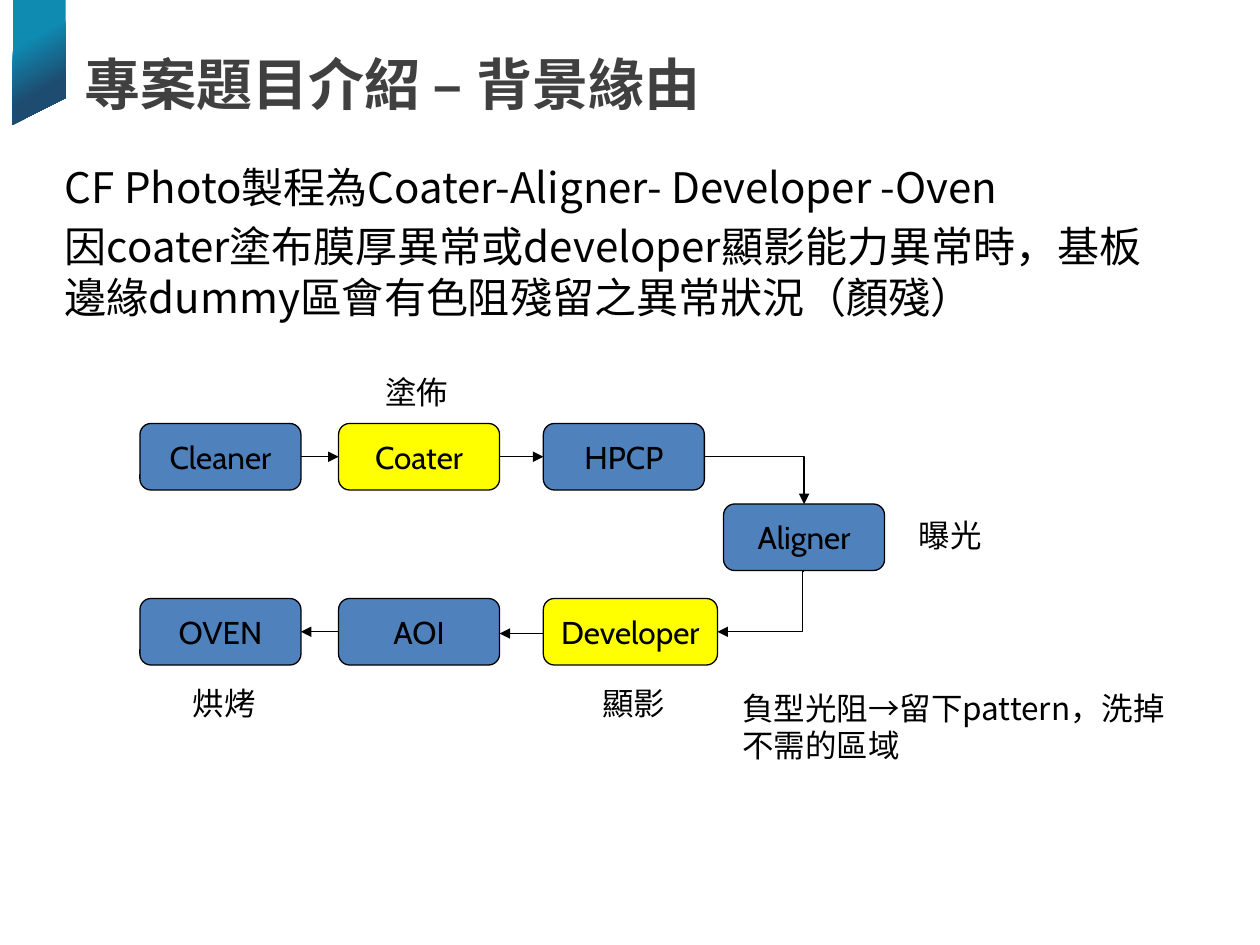
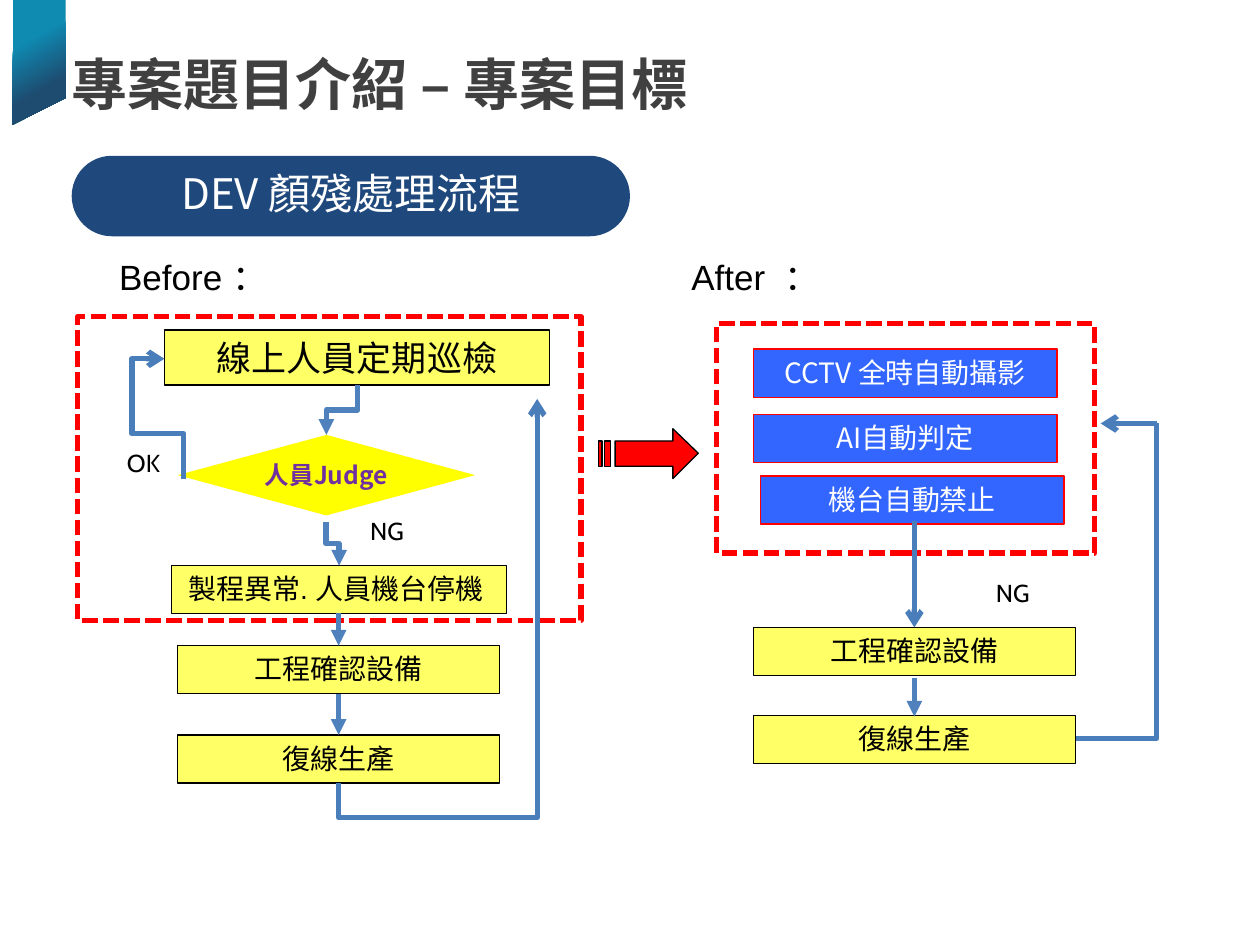
from lxml import etree
from pptx import Presentation
from pptx.dml.color import RGBColor
from pptx.enum import dml, shapes, text
from pptx.oxml import ns
from pptx.util import Pt

ink = RGBColor.from_string
BLACK, WHITE, RED = "000000", "FFFFFF", "FF0000"
BLUE, YELLOW, LEMON, ROYAL = "4F81BD", "FFFF00", "FFFF66", "3366FF"
STEEL, NAVY, GREY = "4A7EBB", "1F497D", "404040"
CABIN, NOTO, ARIAL = "Cabin", "Noto Sans CJK SC", "Arial"
KIND = shapes.MSO_SHAPE
MID = text.MSO_ANCHOR.MIDDLE
TOP = text.MSO_ANCHOR.TOP
MIDDLE = text.PP_ALIGN.CENTER
LEFT = text.PP_ALIGN.LEFT


def put(page, kind, spot, words="", size=18, font=CABIN, tone=BLACK, fill=None,
        line=None, bold=False, align=MIDDLE, anchor=TOP, wrap=True):
    spot = [Pt(n) for n in spot]
    if kind is None:
        item = page.shapes.add_textbox(*spot)
    else:
        item = page.shapes.add_shape(kind, *spot)
        item.shadow.inherit = False
        if fill:
            item.fill.solid()
            item.fill.fore_color.rgb = ink(fill)
        else:
            item.fill.background()
        if line:
            item.line.color.rgb = ink(line)
            item.line.width = Pt(0.75)
        else:
            item.line.fill.background()
    frame = item.text_frame
    frame.word_wrap = wrap
    frame.vertical_anchor = anchor
    frame.text = words
    for para in frame.paragraphs:
        para.alignment = align
        for run in para.runs:
            run.font.size = Pt(size)
            run.font.name = font
            run.font.bold = bold
            run.font.color.rgb = ink(tone)
    return item


def link(page, x, y, wide, high, tone, width, head, form="line", turn=0, flip="", bends=()):
    item = page.shapes.add_connector(
        shapes.MSO_CONNECTOR.STRAIGHT if form == "line" else shapes.MSO_CONNECTOR.ELBOW,
        Pt(x), Pt(y), Pt(x + wide), Pt(y + high))
    item.line.color.rgb = ink(tone)
    item.line.width = Pt(width)
    props = item._element.spPr
    frame = props.find(ns.qn("a:xfrm"))
    if turn:
        frame.set("rot", str(turn * 60000))
    for side in flip:
        frame.set("flip" + side, "1")
    shape = props.find(ns.qn("a:prstGeom"))
    shape.set("prst", form)
    for num, bend in enumerate(bends, 1):
        etree.SubElement(shape.find(ns.qn("a:avLst")), ns.qn("a:gd"),
                         name=f"adj{num}", fmla=f"val {round(bend * 100000)}")
    if head:
        etree.SubElement(props.find(ns.qn("a:ln")), ns.qn("a:tailEnd"), type=head)
    etree.SubElement(props, ns.qn("a:effectLst"))


deck = Presentation()
deck.slide_width, deck.slide_height = Pt(720), Pt(540)
pages = []
for left, title in [(41, "專案題目介紹 – 背景緣由"), (34, "專案題目介紹 – 專案目標")]:
    page = deck.slides.add_slide(deck.slide_layouts[6])
    pages.append(page)
    path = page.shapes.build_freeform(Pt(7.2), Pt(0))
    path.add_line_segments([(Pt(a), Pt(b)) for a, b in [(37.5, 0), (37.5, 56), (7.2, 71.3)]])
    band = path.convert_to_shape()
    band.shadow.inherit = False
    band.line.fill.background()
    band.fill.gradient()
    band.fill.gradient_angle = 300
    for stop, tone, place in zip(band.fill.gradient_stops, ("0F8AB1", "1E4B70"), (0.32, 0.7)):
        stop.color.rgb = ink(tone)
        stop.position = place
    put(page, None, (left, 25, 580, 123), title, 32, tone=GREY, bold=True, align=LEFT)

flow, goal = pages

put(flow, None, (30, 89, 648, 325),
    "CF Photo製程為Coater-Aligner- Developer -Oven\n"
    "因coater塗布膜厚異常或developer顯影能力異常時，基板邊緣dummy區會有色阻殘留之異常狀況（顏殘）",
    24, NOTO, align=LEFT).text_frame.paragraphs[1].space_before = Pt(4.8)

for name, x, y, wide, fill in [
    ("Cleaner", 80, 242, 92, BLUE),
    ("Coater", 193.5, 242, 92, YELLOW),
    ("HPCP", 310.5, 242, 92, BLUE),
    ("Aligner", 413.5, 288, 92, BLUE),
    ("Developer", 310.5, 342, 99.5, YELLOW),
    ("AOI", 193.5, 342, 92, BLUE),
    ("OVEN", 80, 342, 92, BLUE),
]:
    put(flow, KIND.ROUNDED_RECTANGLE, (x, y, wide, 38), name, fill=fill, line=BLACK, anchor=MID)

for x, y, wide in [(172, 261, 21.5), (285.5, 261, 25), (310.5, 362, -25), (193.5, 361, -21.5)]:
    link(flow, x, y, wide, 0, BLACK, 0.75, "triangle")
link(flow, 402.5, 261, 57, 27, BLACK, 0.75, "triangle", "bentConnector2")
link(flow, 410, 326.5, 49.5, 34.5, BLACK, 0.75, "triangle", "bentConnector3", 180, "V", [0.02])

for name, x, y in [("塗佈", 204, 209.5), ("曝光", 509, 291.5), ("顯影", 328, 387.5), ("烘烤", 94, 387.5)]:
    put(flow, None, (x, y, 68, 29), name)
put(flow, None, (417, 390, 262, 50), "負型光阻→留下pattern，洗掉不需的區域", 18, NOTO, align=LEFT)

pill = put(goal, KIND.ROUNDED_RECTANGLE, (41, 89, 319, 46), "DEV 顏殘處理流程", 24, NOTO, WHITE,
           NAVY, anchor=text.MSO_ANCHOR.BOTTOM, wrap=False)
pill.adjustments[0] = 0.5

for name, x, y, wide, high, size in [
    ("線上人員定期巡檢", 94, 188.5, 220, 31.5, 20),
    ("製程異常. 人員機台停機 ", 98, 323, 191.5, 27.5, 16),
    ("工程確認設備", 101.5, 369, 184, 27.5, 16),
    ("復線生產", 101.5, 420, 184, 27.5, 16),
    ("工程確認設備", 430.5, 358.5, 184, 27.5, 16),
    ("復線生產", 430.5, 409, 184, 27.5, 16),
]:
    put(goal, KIND.RECTANGLE, (x, y, wide, high), name, size, ARIAL, fill=LEMON, line=BLACK)

for name, x, y in [("CCTV 全時自動攝影", 430.5, 199.5), ("AI自動判定", 430.5, 237), ("機台自動禁止", 434.5, 272)]:
    put(goal, KIND.RECTANGLE, (x, y, 173.5, 27.5), name, 16, NOTO, WHITE, ROYAL, RED)

put(goal, KIND.FLOWCHART_DECISION, (101.5, 248.5, 170, 46), "人員Judge", 14, NOTO, "7030A0",
    YELLOW, bold=True, anchor=MID)

for spot in [(44.5, 181, 287.5, 173.5), (409.5, 185, 216, 131)]:
    zone = put(goal, KIND.RECTANGLE, spot, line=RED)
    zone.line.width = Pt(3)
    zone.line.dash_style = dml.MSO_LINE.SQUARE_DOT

for name, x, y, wide, size, font in [
    ("Before ：", 61, 142.5, 238, 20, ARIAL),
    ("After  ：", 388, 142.5, 238, 20, ARIAL),
    ("OK", 65.5, 252.5, 50, 14, CABIN),
    ("NG", 204.5, 291.5, 50, 14, CABIN),
    ("NG", 562, 327, 50, 14, CABIN),
]:
    put(goal, None, (x, y, wide, 24), name, size, font, align=LEFT)

path = goal.shapes.build_freeform(Pt(384.5), Pt(245))
path.add_line_segments([(Pt(a), Pt(b)) for a, b in [
    (384.5, 252), (351.5, 252), (351.5, 266.5), (384.5, 266.5), (384.5, 273.5), (399, 259)]])
for near, far in [(345.5, 349), (342, 344)]:
    path.move_to(Pt(near), Pt(252))
    path.add_line_segments([(Pt(a), Pt(b)) for a, b in [(near, 266.5), (far, 266.5), (far, 252)]])
arrow = path.convert_to_shape()
arrow.shadow.inherit = False
arrow.fill.solid()
arrow.fill.fore_color.rgb = ink(RED)
arrow.line.color.rgb = ink(BLACK)
arrow.line.width = Pt(0.75)

for x, y, wide, high, tone, head, *bend in [
    (65, 234, 69, 11, STEEL, "arrow", "bentConnector4", 90, "H", [0.38, 2.69]),
    (140.5, 281, 219.5, 113.5, STEEL, "arrow", "bentConnector3", 90, "HV", [-0.09]),
    (522.5, 298, 0, 60.5, STEEL, "arrow"),
    (615, 242, 46, 180, STEEL, None, "bentConnector2", 0, "V"),
    (661, 242, -32, 0, STEEL, "arrow"),
    (181.25, 225.25, 28.5, 18, BLUE, "triangle", "bentConnector3", 90, "", [0.5]),
    (177.5, 307, 25, 7.5, BLUE, "triangle", "bentConnector3", 270, "H", [0.5]),
    (193.5, 350.5, 0, 18.5, BLUE, "triangle"),
    (193.5, 396.5, 0, 23.5, BLUE, "triangle"),
    (522.5, 387.5, 0, 22, BLUE, "triangle"),
]:
    link(goal, x, y, wide, high, tone, 3, head, *bend)

deck.save("out.pptx")
